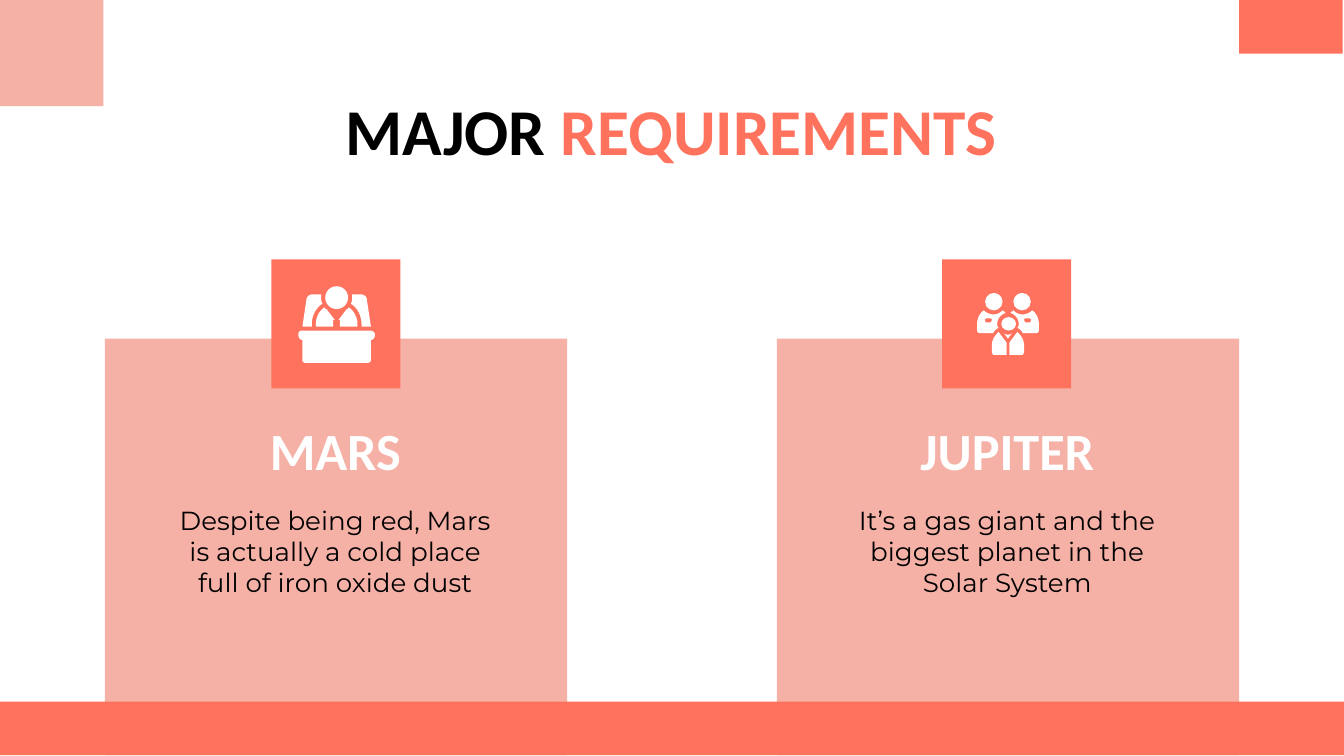
from dataclasses import dataclass

from lxml.etree import SubElement
from pptx import Presentation
from pptx.dml.color import RGBColor
from pptx.enum.shapes import MSO_SHAPE
from pptx.enum.text import MSO_ANCHOR, MSO_AUTO_SIZE, PP_ALIGN
from pptx.oxml.ns import qn
from pptx.util import Pt

PX = 9144  # EMU in one px, 100 px to the inch


@dataclass(frozen=True)
class Theme:
    coral: str = "FF725E"
    pink: str = "F6B1A7"
    white: str = "FFFFFF"
    black: str = "000000"
    heading_font: str = "Calibri"
    body_font: str = "Montserrat"
    title_size: int = 35
    heading_size: int = 28
    body_size: int = 14


theme = Theme()
presentation = Presentation()
presentation.slide_width = 1000 * PX
presentation.slide_height = presentation.slide_width * 9 // 16
slide = presentation.slides.add_slide(presentation.slide_layouts.get_by_name("Comparison"))
placeholders = {shape.placeholder_format.idx: shape for shape in slide.placeholders}


def write(shape, box, runs, *, size, font=theme.heading_font, bold=True, anchor=MSO_ANCHOR.MIDDLE):
    """Place a placeholder in front and fill it with (text, colour) runs."""
    shape.left, shape.top, shape.width, shape.height = [length * PX for length in box]
    slide.shapes.element.append(shape.element)
    frame = shape.text_frame
    frame.word_wrap = True
    frame.auto_size = MSO_AUTO_SIZE.NONE
    frame.vertical_anchor = anchor
    frame.margin_left = frame.margin_right = frame.margin_top = frame.margin_bottom = 10 * PX
    paragraph = frame.paragraphs[0]
    properties = paragraph._p.get_or_add_pPr()
    properties.set("marL", "0")
    properties.set("indent", "0")
    SubElement(properties, qn("a:buNone"))
    paragraph.alignment = PP_ALIGN.CENTER
    paragraph.space_before = Pt(0)
    for text, color in runs:
        run = paragraph.add_run()
        run.text = text
        run.font.name = font
        run.font.size = Pt(size)
        run.font.bold = bold
        run.font.color.rgb = RGBColor.from_string(color)


def draw_outline(contours, mirror=None):
    """Draw white contours of points and cubic curves, flipped if x becomes mirror - x."""
    builder = None
    for start, *segments in contours:
        points = [start]
        for segment in segments:
            if len(segment) == 2:
                points.append(segment)
                continue
            x0, y0 = points[-1]
            x1, y1, x2, y2, x3, y3 = segment
            for step in range(1, 9):
                t = step / 8
                u = 1 - t
                points.append((
                    u**3 * x0 + 3 * u * u * t * x1 + 3 * u * t * t * x2 + t**3 * x3,
                    u**3 * y0 + 3 * u * u * t * y1 + 3 * u * t * t * y2 + t**3 * y3,
                ))
        points = [((x if mirror is None else mirror - x) * PX, y * PX) for x, y in points]
        if builder is None:
            builder = slide.shapes.build_freeform(*points[0], scale=1.0)
        else:
            builder.move_to(*points[0])
        builder.add_line_segments(points[1:], close=True)
    shape = builder.convert_to_shape()
    shape.shadow.inherit = False
    shape.fill.solid()
    shape.fill.fore_color.rgb = RGBColor.from_string(theme.white)
    shape.line.fill.background()


# Cards, bottom bar, corner blocks, icon tiles and the round heads of the icons
for kind, color, *box in [
    (MSO_SHAPE.RECTANGLE, theme.pink, 78, 252, 344, 310),
    (MSO_SHAPE.RECTANGLE, theme.pink, 578, 252, 344, 310),
    (MSO_SHAPE.RECTANGLE, theme.coral, 0, 522, 1000, 40),
    (MSO_SHAPE.RECTANGLE, theme.coral, 922, 0, 77, 40),
    (MSO_SHAPE.RECTANGLE, theme.pink, 0, 0, 77, 79),
    (MSO_SHAPE.RECTANGLE, theme.coral, 202, 193, 96, 96),
    (MSO_SHAPE.RECTANGLE, theme.coral, 701, 193, 96, 96),
    (MSO_SHAPE.OVAL, theme.white, 242, 213, 17, 17),
    (MSO_SHAPE.OVAL, theme.white, 745, 236, 11, 10),
    (MSO_SHAPE.OVAL, theme.white, 733, 218, 13, 13),
    (MSO_SHAPE.OVAL, theme.white, 754, 218, 13, 13),
]:
    shape = slide.shapes.add_shape(kind, *[length * PX for length in box])
    shape.shadow.inherit = False
    shape.fill.solid()
    shape.fill.fore_color.rgb = RGBColor.from_string(color)
    shape.line.fill.background()

# Title
write(placeholders[0], (65, 72, 869, 49),
      [("MAJOR ", theme.black), ("REQUIREMENTS", theme.coral)], size=theme.title_size)

# Heading and description of each card
for column, (heading, description) in enumerate([
    ("MARS", "Despite being red, Mars is actually a cold place full of iron oxide dust"),
    ("JUPITER", "It’s a gas giant and the biggest planet in the Solar System"),
]):
    left = 118 + 500 * column
    write(placeholders[1 + 2 * column], (left, 310, 263, 49),
          [(heading, theme.white)], size=theme.heading_size)
    write(placeholders[2 + 2 * column], (left, 365, 263, 108),
          [(description, theme.black)], size=theme.body_size,
          font=theme.body_font, bold=False, anchor=MSO_ANCHOR.TOP)

# Desk icon: desk, then chair side and arm on both sides
desk = [(225, 246), (223, 246, 222, 247, 222, 249), (222, 251, 223, 253, 225, 253),
        (225, 268), (225, 269, 226, 270, 227, 270), (274, 270),
        (275, 270, 276, 269, 276, 268), (276, 253), (278, 253, 279, 251, 279, 249),
        (279, 247, 277, 246, 275, 246)]
chair_side = [(233, 219), (230, 219, 228, 221, 228, 223), (225, 243), (232, 243), (232, 241),
              (232, 235, 235, 229, 240, 226), (239, 225, 239, 223, 239, 221), (239, 219)]
arm = [(241, 229), (238, 231, 235, 236, 235, 241), (235, 243), (248, 243), (248, 238),
       (249, 238), (243, 230), (242, 230, 242, 230, 242, 229)]
draw_outline([desk])
for mirror in (None, 501):
    draw_outline([chair_side], mirror)
    draw_outline([arm], mirror)

# Team icon: collar, then front torso and rear shoulder on both sides
collar = [(747, 248), (750, 252), (753, 248), (752, 249, 751, 249, 750, 249),
          (749, 249, 748, 249, 747, 248)]
torso = [(743, 247), (740, 250, 738, 253, 738, 257), (738, 262),
         (738, 263, 739, 264, 739, 264), (749, 264), (749, 255)]
badge = [(737, 237), (737, 237, 738, 237, 738, 238), (738, 239, 737, 240, 737, 240),
         (734, 240), (733, 240, 733, 239, 733, 238), (733, 238, 733, 237, 734, 237)]
shoulder = [(732, 231), (729, 233, 727, 237, 727, 241), (727, 246),
            (727, 247, 728, 248, 729, 248), (739, 248), (740, 246, 741, 245, 743, 244),
            (742, 243, 742, 242, 742, 241), (742, 237, 745, 234, 748, 233),
            (748, 232, 747, 232, 746, 231), (744, 233, 742, 234, 739, 234),
            (737, 234, 734, 233, 732, 231)]
draw_outline([collar])
for mirror in (None, 1500):
    draw_outline([torso], mirror)
    draw_outline([badge, shoulder], mirror)

presentation.save("out.pptx")
